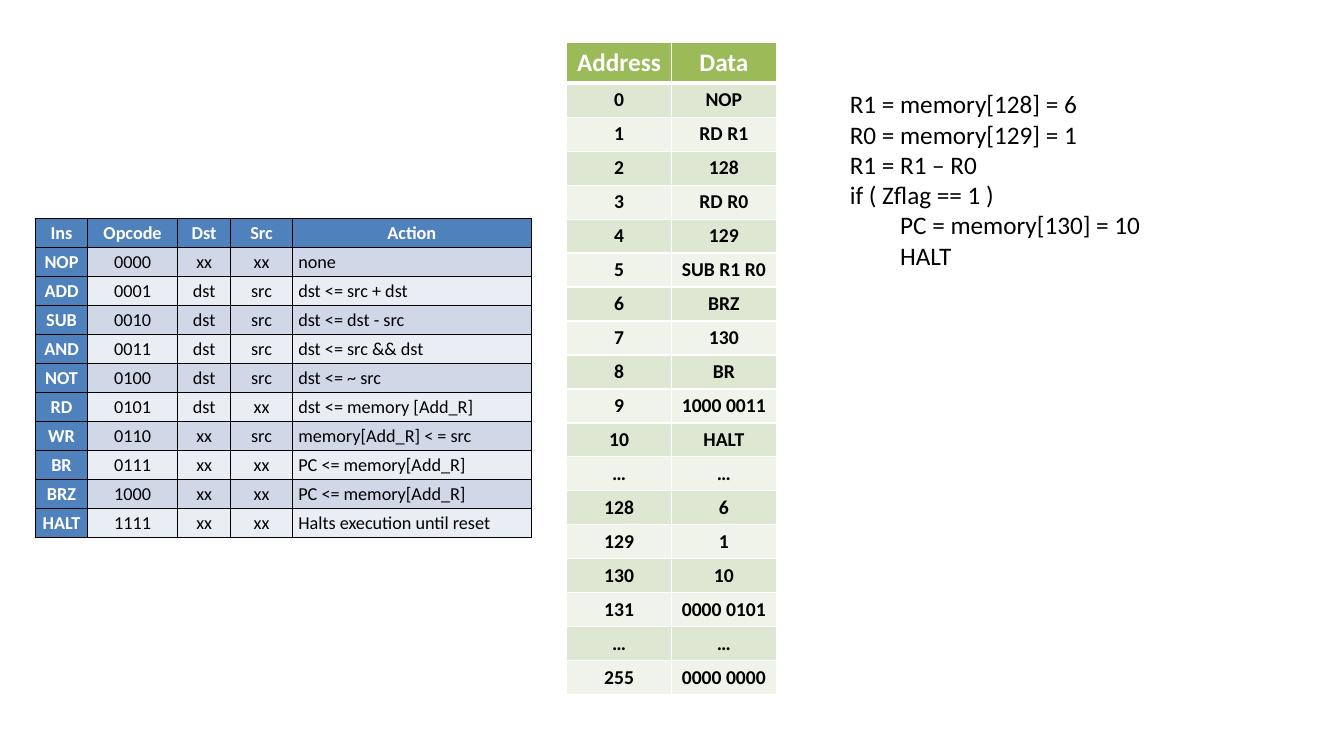
from lxml import etree
from pptx import Presentation
from pptx.dml.color import RGBColor
from pptx.enum import text as t
from pptx.oxml import ns
from pptx.util import Inches, Pt

WHITE = RGBColor(0xFF, 0xFF, 0xFF)
BLACK = RGBColor(0, 0, 0)
GREEN = RGBColor(0x9B, 0xBB, 0x59)
GREENS = RGBColor(0xDE, 0xE7, 0xD1), RGBColor(0xEF, 0xF3, 0xEA)
BLUE = RGBColor(0x4F, 0x81, 0xBD)
BLUES = RGBColor(0xD0, 0xD8, 0xE8), RGBColor(0xE9, 0xED, 0xF4)
FONT = "Calibri"

MEMORY = [
    ("Address", "Data"),
    ("0", "NOP"),
    ("1", "RD R1"),
    ("2", "128"),
    ("3", "RD R0"),
    ("4", "129"),
    ("5", "SUB R1 R0"),
    ("6", "BRZ"),
    ("7", "130"),
    ("8", "BR"),
    ("9", "1000 0011"),
    ("10", "HALT"),
    ("…", "…"),
    ("128", "6"),
    ("129", "1"),
    ("130", "10"),
    ("131", "0000 0101"),
    ("…", "…"),
    ("255", "0000 0000"),
]
OPCODES = [
    ("Ins", "Opcode", "Dst", "Src", "Action"),
    ("NOP", "0000", "xx", "xx", "none"),
    ("ADD", "0001", "dst", "src", "dst <= src + dst"),
    ("SUB", "0010", "dst", "src", "dst <= dst - src"),
    ("AND", "0011", "dst", "src", "dst <= src && dst"),
    ("NOT", "0100", "dst", "src", "dst <= ~ src"),
    ("RD", "0101", "dst", "xx", "dst <= memory [Add_R]"),
    ("WR", "0110", "xx", "src", "memory[Add_R] < = src"),
    ("BR", "0111", "xx", "xx", "PC <= memory[Add_R]"),
    ("BRZ", "1000", "xx", "xx", "PC <= memory[Add_R]"),
    ("HALT", "1111", "xx", "xx", "Halts execution until reset"),
]
TRACE = [
    "R1 = memory[128] = 6",
    "R0 = memory[129] = 1",
    "R1 = R1 – R0",
    "if ( Zflag == 1 )",
    "\tPC = memory[130] = 10",
    "\tHALT",
]


def edge(cell, color, top=1, bottom=1):
    """Draw the four borders of a cell; call before setting its fill."""
    props = cell._tc.get_or_add_tcPr()
    for side, width in (("L", 1), ("R", 1), ("T", top), ("B", bottom)):
        line = etree.SubElement(props, ns.qn(f"a:ln{side}"), w=str(Pt(width)))
        fill = etree.SubElement(line, ns.qn("a:solidFill"))
        etree.SubElement(fill, ns.qn("a:srgbClr"), val=str(color))


def write(cell, words, size, color, bold, align=t.PP_ALIGN.CENTER):
    cell.text = words
    para = cell.text_frame.paragraphs[0]
    para.alignment = align
    font = para.font
    font.name, font.size, font.bold = FONT, Pt(size), bold
    font.color.rgb = color


def paint(cell, color):
    cell.fill.solid()
    cell.fill.fore_color.rgb = color


def grid(slide, rows, widths, left, top, height):
    """Add an unstyled table with equal rows."""
    table = slide.shapes.add_table(
        len(rows), len(widths), Inches(left), Inches(top),
        Inches(sum(widths)), Inches(height)).table
    table.first_row = table.horz_banding = False
    for col, width in zip(table.columns, widths):
        col.width = Inches(width)
    return table


def add_memory(slide):
    table = grid(slide, MEMORY, [1.04, 1.04], 5.62, 0.42, 6.4)
    for r, row in enumerate(MEMORY):
        head = r == 0
        for c, words in enumerate(row):
            cell = table.cell(r, c)
            write(cell, words, 18 if head else 14, WHITE if head else BLACK, True)
            edge(cell, WHITE, 3 if r == 1 else 1, 3 if head else 1)
            paint(cell, GREEN if head else GREENS[(r - 1) % 2])


def add_opcodes(slide):
    table = grid(slide, OPCODES, [0.52, 0.89, 0.53, 0.61, 2.37], 0.35, 2.17, 3.17)
    for r, row in enumerate(OPCODES):
        for c, words in enumerate(row):
            head = r == 0 or c == 0
            action = c == 4 and not head
            cell = table.cell(r, c)
            cell.margin_left = cell.margin_right = Inches(0.06)
            cell.margin_top = cell.margin_bottom = 0
            cell.vertical_anchor = t.MSO_ANCHOR.MIDDLE
            write(cell, words, 13, WHITE if head else BLACK, head,
                  t.PP_ALIGN.LEFT if action else t.PP_ALIGN.CENTER)
            edge(cell, BLACK)
            paint(cell, BLUE if head else BLUES[(r - 1) % 2])


def add_trace(slide):
    box = slide.shapes.add_textbox(
        Inches(8.33), Inches(0.83), Inches(4.5), Inches(2.22))
    frame = box.text_frame
    frame.word_wrap = True
    frame.auto_size = t.MSO_AUTO_SIZE.SHAPE_TO_FIT_TEXT
    frame.text = "\n".join(TRACE)
    for para in frame.paragraphs:
        para.font.name, para.font.size = FONT, Pt(18)
        para.font.color.rgb = BLACK


def main():
    deck = Presentation()
    deck.slide_width, deck.slide_height = Inches(13.33), Inches(7.5)
    slide = deck.slides.add_slide(deck.slide_layouts[6])
    add_memory(slide)
    add_opcodes(slide)
    add_trace(slide)
    deck.save("out.pptx")


if __name__ == "__main__":
    main()
